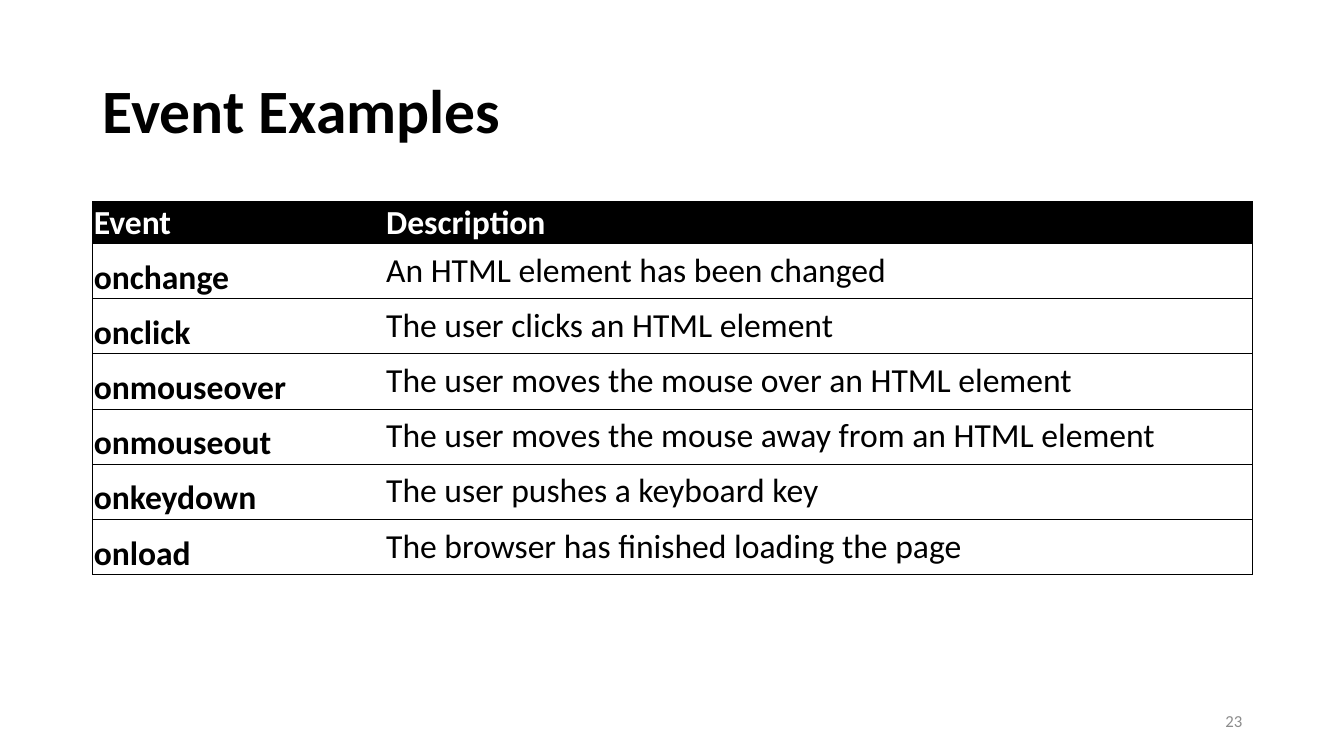
"""Build the slide that lists common HTML events."""
import dataclasses

import lxml.etree
import pptx
import pptx.dml.color
import pptx.enum.text
import pptx.oxml.ns
import pptx.util

Inches = pptx.util.Inches
Pt = pptx.util.Pt
ALIGN = pptx.enum.text.PP_ALIGN
ANCHOR = pptx.enum.text.MSO_ANCHOR


@dataclasses.dataclass(frozen=True)
class Theme:
    font: str = "Calibri"
    ink: str = "000000"
    paper: str = "FFFFFF"
    muted: str = "8C8C8C"
    title: int = 44
    body: int = 24
    small: int = 12
    rule: float = 0.5


THEME = Theme()
HEAD = ("Event", "Description")
EVENTS = (
    ("onchange", "An HTML element has been changed"),
    ("onclick", "The user clicks an HTML element"),
    ("onmouseover", "The user moves the mouse over an HTML element"),
    ("onmouseout", "The user moves the mouse away from an HTML element"),
    ("onkeydown", "The user pushes a keyboard key"),
    ("onload", "The browser has finished loading the page"),
)
WIDTHS = (2.9, 8.6)
HEAD_HIGH, ROW_HIGH = 0.41, 0.54


def rgb(code):
    return pptx.dml.color.RGBColor.from_string(code)


def style(frame, size, color, bold=False, align=ALIGN.LEFT):
    para = frame.paragraphs[0]
    para.alignment = align
    font = para.font
    font.name, font.size, font.bold = THEME.font, Pt(size), bold
    font.color.rgb = rgb(color)
    return para


def add_title(slide, text):
    title = slide.shapes.title
    title.left, title.top = Inches(0.92), Inches(0.4)
    title.width, title.height = Inches(11.5), Inches(1.45)
    frame = title.text_frame
    frame.text = text
    frame.vertical_anchor = ANCHOR.MIDDLE
    style(frame, THEME.title, THEME.ink, bold=True).line_spacing = 0.9


def add_rules(cell, sides):
    qn = pptx.oxml.ns.qn
    props = cell._tc.get_or_add_tcPr()
    for spot, side in enumerate("LRTB"):
        line = lxml.etree.Element(qn(f"a:ln{side}"), w=str(Pt(THEME.rule)))
        if side in sides:
            fill = lxml.etree.SubElement(line, qn("a:solidFill"))
            lxml.etree.SubElement(fill, qn("a:srgbClr"), val=THEME.ink)
        else:
            lxml.etree.SubElement(line, qn("a:noFill"))
        props.insert(spot, line)


def fill_cell(cell, text, head, first):
    cell.text = text
    cell.vertical_anchor = ANCHOR.BOTTOM
    cell.margin_left = cell.margin_right = Inches(0.01)
    tight = head or first
    cell.margin_top = Inches(0.01 if tight else 0.07)
    cell.margin_bottom = Inches(0 if tight else 0.07)
    cell.fill.solid()
    cell.fill.fore_color.rgb = rgb(THEME.ink if head else THEME.paper)
    style(cell.text_frame, THEME.body, THEME.paper if head else THEME.ink, bold=tight)
    add_rules(cell, "TBL" if first else "TBR")


def add_events(slide):
    rows = (HEAD, *EVENTS)
    high = HEAD_HIGH + ROW_HIGH * len(EVENTS)
    table = slide.shapes.add_table(
        len(rows), len(HEAD), Inches(0.92), Inches(2),
        Inches(sum(WIDTHS)), Inches(high)).table
    for col, width in zip(table.columns, WIDTHS):
        col.width = Inches(width)
    for r, texts in enumerate(rows):
        table.rows[r].height = Inches(ROW_HIGH if r else HEAD_HIGH)
        for c, text in enumerate(texts):
            fill_cell(table.cell(r, c), text, head=r == 0, first=c == 0)


def add_number(slide, text):
    box = slide.shapes.add_textbox(Inches(9.42), Inches(6.95), Inches(3), Inches(0.4))
    frame = box.text_frame
    frame.word_wrap = True
    frame.vertical_anchor = ANCHOR.MIDDLE
    frame.text = text
    style(frame, THEME.small, THEME.muted, align=ALIGN.RIGHT)


def main():
    deck = pptx.Presentation()
    deck.slide_width, deck.slide_height = Inches(13.33), Inches(7.5)
    slide = deck.slides.add_slide(deck.slide_layouts.get_by_name("Title Only"))
    add_title(slide, "Event Examples")
    add_events(slide)
    add_number(slide, "23")
    deck.save("out.pptx")


if __name__ == "__main__":
    main()
